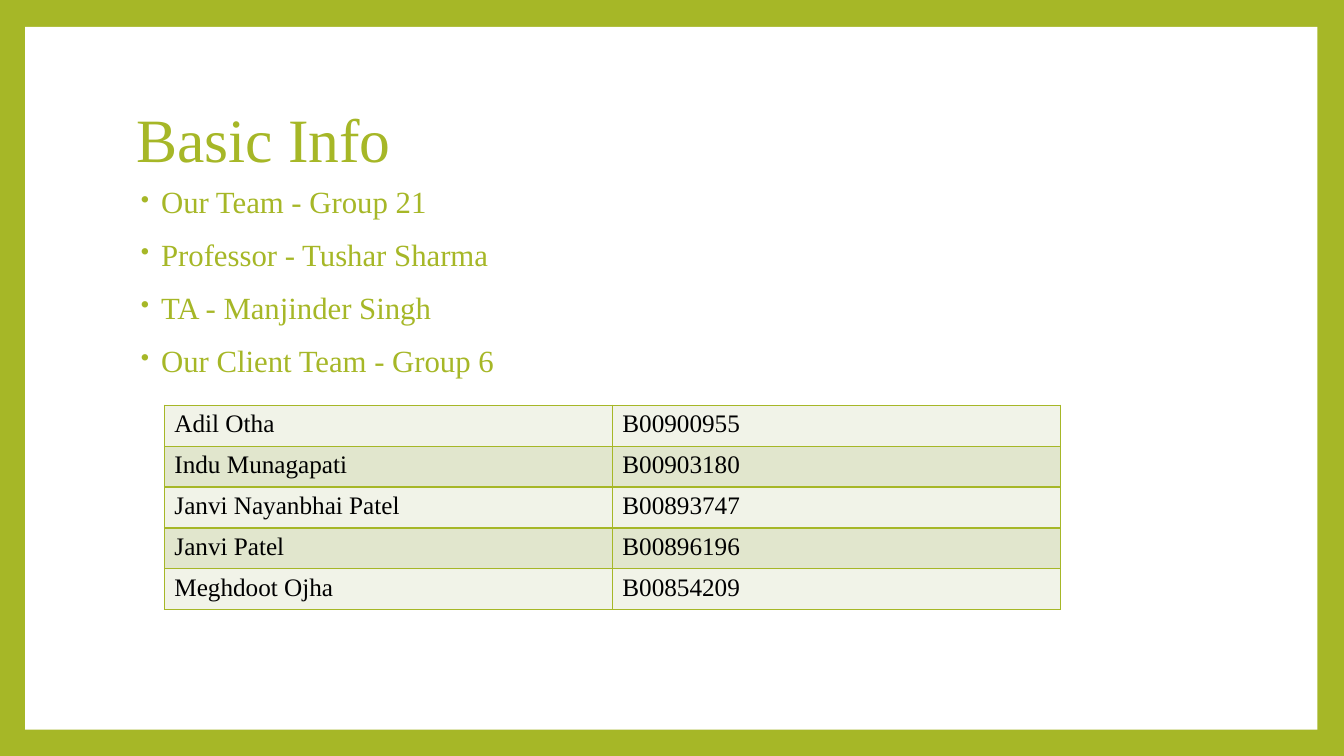
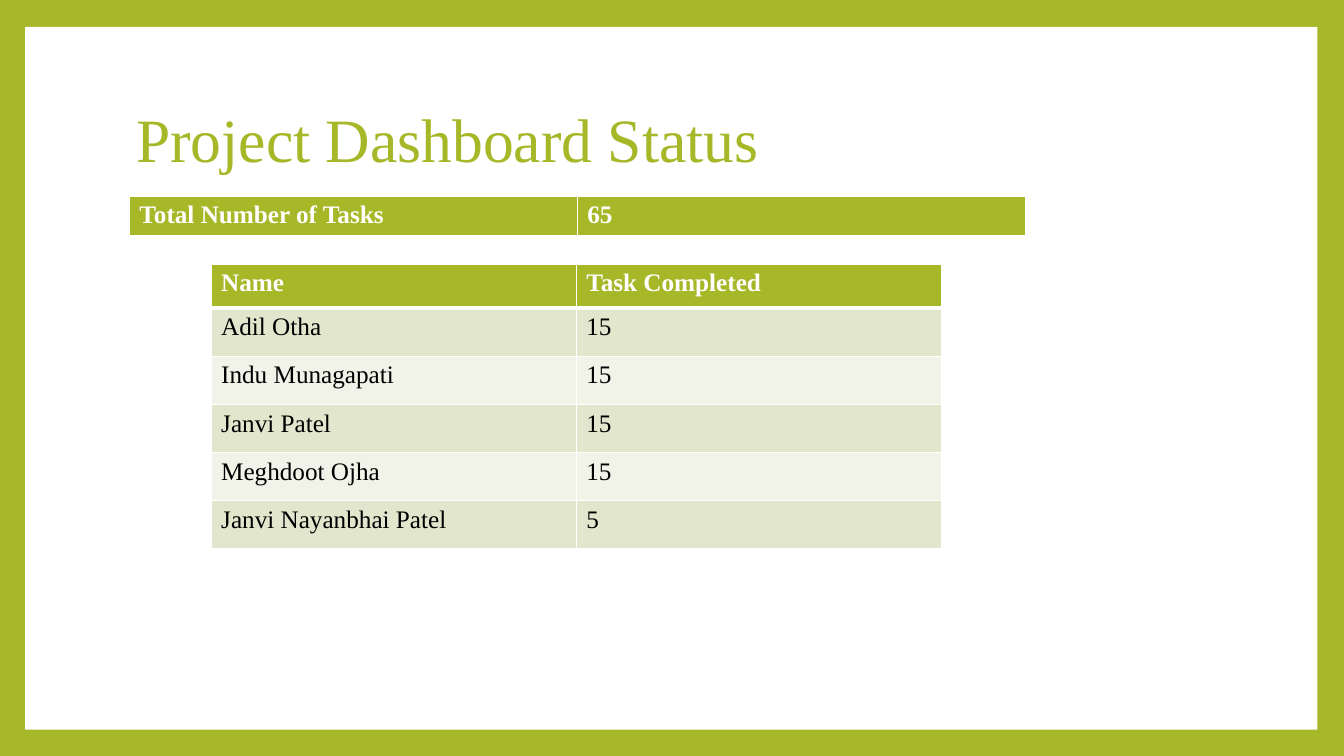
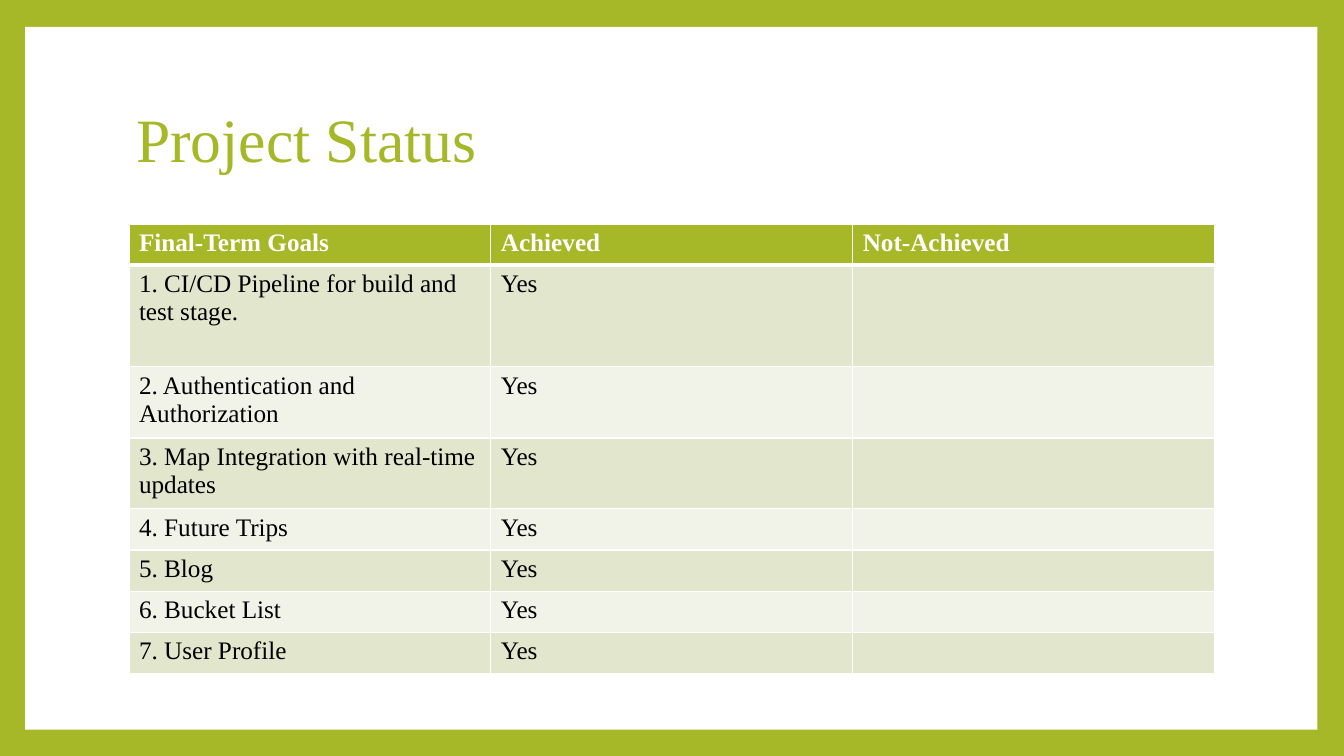
from lxml import etree
from pptx import Presentation
from pptx.dml.color import RGBColor
from pptx.enum.shapes import MSO_SHAPE
from pptx.enum.text import MSO_ANCHOR, MSO_AUTO_SIZE, PP_ALIGN
from pptx.oxml.ns import qn
from pptx.util import Pt

RECTANGLE = MSO_SHAPE.RECTANGLE
MIDDLE = MSO_ANCHOR.MIDDLE
NO_AUTOFIT = MSO_AUTO_SIZE.NONE
LEFT = PP_ALIGN.LEFT

GREEN = RGBColor(0xA6, 0xB7, 0x27)
PALE = RGBColor(0xF1, 0xF3, 0xE8)
SOFT = RGBColor(0xE1, 0xE6, 0xCD)
WHITE = RGBColor(0xFF, 0xFF, 0xFF)
BLACK = RGBColor(0x00, 0x00, 0x00)

FONT = "Times New Roman"
TITLE_ONLY = 5
PANEL_BOX = (18, 19.3, 923, 501.9)
TITLE_BOX = (90, 48.2, 777.6, 106.6)
THIN, THICK = 1, 3


def points(box):
    """Turn a box of plain numbers into lengths."""
    return [Pt(value) for value in box]


def style(para, size, color, bold=False):
    """Set the shared typeface with a size, colour and weight."""
    para.font.name = FONT
    para.font.size = Pt(size)
    para.font.color.rgb = color
    para.font.bold = bold


def add_page(deck, title):
    """Add a slide with the white panel and its green title."""
    page = deck.slides.add_slide(deck.slide_layouts[TITLE_ONLY])
    panel = page.shapes.add_shape(RECTANGLE, *points(PANEL_BOX))
    panel.shadow.inherit = False
    panel.fill.solid()
    panel.fill.fore_color.rgb = WHITE
    panel.line.fill.background()
    page.shapes.element.insert(2, panel.element)

    heading = page.shapes.title
    heading.left, heading.top, heading.width, heading.height = points(TITLE_BOX)
    frame = heading.text_frame
    frame.text = title
    frame.auto_size = NO_AUTOFIT
    frame.vertical_anchor = MIDDLE
    para = frame.paragraphs[0]
    para.alignment = LEFT
    para.line_spacing = 0.9
    style(para, 44, GREEN)
    return page


def add_bullet(para):
    """Give a paragraph a small green bullet and a hanging indent."""
    properties = para._p.get_or_add_pPr()
    properties.set("marL", str(Pt(18)))
    properties.set("indent", str(-Pt(14.4)))
    color = etree.Element(qn("a:buClr"))
    etree.SubElement(color, qn("a:srgbClr"), val=str(GREEN))
    size = etree.Element(qn("a:buSzPct"), val="80000")
    mark = etree.Element(qn("a:buChar"), char="•")
    default_run = properties.find(qn("a:defRPr"))
    for element in (color, size, mark):
        default_run.addprevious(element)


def add_bullets(page, box, lines):
    """Add a bulleted list in a box."""
    frame = page.shapes.add_textbox(*points(box)).text_frame
    frame.word_wrap = True
    for index, line in enumerate(lines):
        para = frame.add_paragraph() if index else frame.paragraphs[0]
        para.text = line
        para.line_spacing = 0.9
        para.space_before = Pt(14)
        style(para, 22, GREEN)
        add_bullet(para)


def set_borders(cell, color, top, bottom):
    """Draw the four borders of a cell, with thin sides."""
    properties = cell._tc.get_or_add_tcPr()
    widths = {"a:lnL": THIN, "a:lnR": THIN, "a:lnT": top, "a:lnB": bottom}
    for index, (tag, width) in enumerate(widths.items()):
        line = etree.Element(qn(tag), w=str(Pt(width)))
        fill = etree.SubElement(line, qn("a:solidFill"))
        etree.SubElement(fill, qn("a:srgbClr"), val=str(color))
        properties.insert(index, line)


def add_grid(page, box, rows, heights, border=WHITE, header=True):
    """Add a banded table with equal columns and an optional header row."""
    left, top, width = box
    columns = len(rows[0])
    shape = page.shapes.add_table(
        len(rows), columns, *points((left, top, width, sum(heights))))
    table = shape.table
    table.first_row = header
    table.horz_banding = False
    for column in table.columns:
        column.width = Pt(width / columns)
    for index, (texts, height) in enumerate(zip(rows, heights)):
        table.rows[index].height = Pt(height)
        is_header = header and index == 0
        band = GREEN if is_header else SOFT if index % 2 else PALE
        upper = THICK if header and index == 1 else THIN
        lower = THICK if is_header else THIN
        for cell, text in zip(table.rows[index].cells, texts):
            cell.text = text
            cell.fill.solid()
            cell.fill.fore_color.rgb = band
            style(cell.text_frame.paragraphs[0], 18,
                  WHITE if is_header else BLACK, is_header)
            set_borders(cell, border, upper, lower)


def build_basic_info(deck):
    """Build the slide with the people involved."""
    page = add_page(deck, "Basic Info")
    add_bullets(page, (90, 130.3, 777.6, 318.2), [
        "Our Team - Group 21",
        "Professor - Tushar Sharma",
        "TA - Manjinder Singh",
        "Our Client Team - Group 6",
    ])
    members = [
        ("Adil Otha", "B00900955"),
        ("Indu Munagapati", "B00903180"),
        ("Janvi Nayanbhai Patel", "B00893747"),
        ("Janvi Patel", "B00896196"),
        ("Meghdoot Ojha", "B00854209"),
    ]
    add_grid(page, (117.4, 289.5, 640), members, [29.2] * len(members),
             border=GREEN, header=False)


def build_dashboard(deck):
    """Build the slide with the task counts."""
    page = add_page(deck, "Project Dashboard Status")
    tasks = [
        ("Name", "Task Completed"),
        ("Adil Otha", "15"),
        ("Indu Munagapati", "15"),
        ("Janvi Patel", "15"),
        ("Meghdoot Ojha", "15"),
        ("Janvi Nayanbhai Patel", "5"),
    ]
    add_grid(page, (150.8, 188.8, 521.6), tasks, [31.4] + [34.4] * 5)
    add_grid(page, (92.4, 140.2, 640), [("Total Number of Tasks", "65")], [29.2])


def build_project_status(deck):
    """Build the slide with the final-term goals."""
    page = add_page(deck, "Project Status")
    goals = [
        "1. CI/CD Pipeline for build and test stage.",
        "2. Authentication and Authorization",
        "3. Map Integration with real-time updates",
        "4. Future Trips",
        "5. Blog",
        "6. Bucket List",
        "7. User Profile",
    ]
    rows = [("Final-Term Goals", "Achieved", "Not-Achieved")]
    rows += [(goal, "Yes", "") for goal in goals]
    heights = [29.3, 72.6, 51, 50.6] + [29.4] * 4
    add_grid(page, (92.1, 160, 775.5), rows, heights)


def main():
    """Build and save the deck."""
    deck = Presentation()
    deck.slide_width, deck.slide_height = Pt(960), Pt(540)
    background = deck.slide_master.background.fill
    background.solid()
    background.fore_color.rgb = GREEN
    build_basic_info(deck)
    build_dashboard(deck)
    build_project_status(deck)
    deck.save("out.pptx")


if __name__ == "__main__":
    main()
